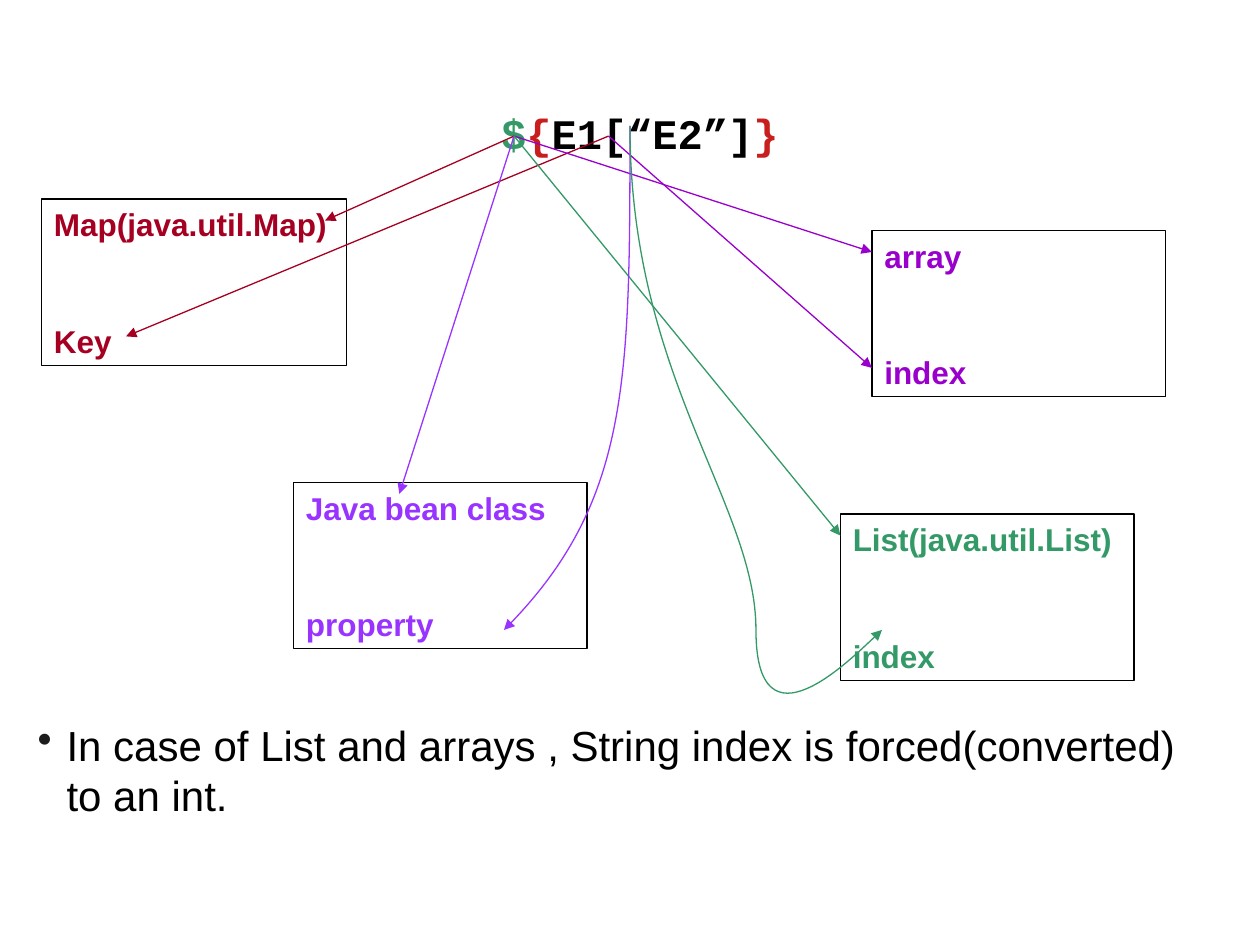
"""Build the slide that maps an EL expression to the types it can address."""
from dataclasses import dataclass

from lxml import etree
from pptx import Presentation
from pptx.dml.color import RGBColor
from pptx.enum.shapes import MSO_CONNECTOR, MSO_SHAPE
from pptx.enum.text import MSO_ANCHOR, PP_ALIGN
from pptx.oxml.ns import qn
from pptx.util import Inches, Pt

STRAIGHT = MSO_CONNECTOR.STRAIGHT
RECTANGLE = MSO_SHAPE.RECTANGLE
LEFT = PP_ALIGN.LEFT
TOP = MSO_ANCHOR.TOP


@dataclass(frozen=True)
class Theme:
    """Colours, fonts and sizes."""
    black: str = "000000"
    bullet: str = "1C1C1C"
    brace: str = "C81E1E"
    map: str = "A50021"
    bean: str = "9933FF"
    list: str = "339966"
    array: str = "9900CC"
    body_font: str = "Arial"
    code_font: str = "Courier New"
    large: int = 24
    label: int = 18
    label_gap: int = 45
    line: float = 0.75


THEME = Theme()
OBJECT = (4.08, 1.08)
KEY = (4.83, 1.08)


def add_run(paragraph, text, color, size, font, bold=True):
    """Append a formatted run to a paragraph."""
    run = paragraph.add_run()
    run.text = text
    formats = {"name": font, "size": Pt(size), "bold": bold}
    for name, value in formats.items():
        setattr(run.font, name, value)
    run.font.color.rgb = RGBColor.from_string(color)


def set_line(shape, color):
    """Give a shape or connector a thin solid line."""
    shape.line.color.rgb = RGBColor.from_string(color)
    shape.line.width = Pt(THEME.line)


def finish_arrow(arrow, color):
    """Colour an arrow, add its head and remove its shadow."""
    set_line(arrow, color)
    properties = arrow.element.spPr
    etree.SubElement(properties.find(qn("a:ln")), qn("a:tailEnd"), type="triangle")
    etree.SubElement(properties, qn("a:effectLst"))


def add_arrow(slide, start, end, color):
    """Draw a straight arrow."""
    ends = [Inches(value) for value in (*start, *end)]
    finish_arrow(slide.shapes.add_connector(STRAIGHT, *ends), color)


def add_curved_arrow(slide, start, controls, color):
    """Draw an arrow along cubic curves, three control points to each."""
    builder = slide.shapes.build_freeform(*start, scale=Inches(1))
    builder.add_line_segments(controls, close=False)
    arrow = builder.convert_to_shape()
    arrow.fill.background()
    steps = list(arrow.element.iter(qn("a:lnTo")))
    outline = steps[0].getparent()
    for first in range(0, len(steps), 3):
        curve = etree.SubElement(outline, qn("a:cubicBezTo"))
        for step in steps[first:first + 3]:
            curve.append(step[0])
            outline.remove(step)
    finish_arrow(arrow, color)


def add_type_box(slide, left, top, width, labels, color):
    """Draw an outlined box with a type name above its access key."""
    box = slide.shapes.add_shape(
        RECTANGLE, Inches(left), Inches(top), Inches(width), Inches(1.32))
    box.shadow.inherit = False
    box.fill.background()
    set_line(box, THEME.black)
    frame = box.text_frame
    frame.vertical_anchor = TOP
    type_name, key = frame.paragraphs[0], frame.add_paragraph()
    key.space_before = Pt(THEME.label_gap)
    for paragraph, label in zip((type_name, key), labels):
        paragraph.alignment = LEFT
        add_run(paragraph, label, color, THEME.label, THEME.body_font)


def add_text(slide, left, top, width, height):
    """Add a wrapping text box and return its first paragraph."""
    frame = slide.shapes.add_textbox(
        Inches(left), Inches(top), Inches(width), Inches(height)).text_frame
    frame.word_wrap = True
    return frame.paragraphs[0]


def add_expression(slide):
    """Write the expression with its coloured delimiters."""
    expression = add_text(slide, 3.88, 0.8, 3, 0.48)
    for text, color in (("$", THEME.list), ("{", THEME.brace),
                        ("E1[“E2”]", THEME.black), ("}", THEME.brace)):
        add_run(expression, text, color, THEME.large, THEME.code_font)


def add_bullet(slide, text):
    """Write the bulleted remark."""
    remark = add_text(slide, 0.2, 5.66, 9.58, 0.9)
    properties = remark._p.get_or_add_pPr()
    indent = Inches(0.23)
    properties.set("marL", str(indent))
    properties.set("indent", str(-indent))
    bullet_color = etree.SubElement(properties, qn("a:buClr"))
    etree.SubElement(bullet_color, qn("a:srgbClr"), val=THEME.bullet)
    etree.SubElement(properties, qn("a:buChar"), char="•")
    add_run(remark, text, THEME.black, THEME.large, THEME.body_font, bold=False)


def main():
    """Build and save the slide."""
    deck = Presentation()
    deck.slide_width, deck.slide_height = Inches(10), Inches(7.5)
    slide = deck.slides.add_slide(deck.slide_layouts[6])
    add_expression(slide)

    for box in (
        (0.33, 1.58, 2.42, ("Map(java.util.Map)", "Key"), THEME.map),
        (2.33, 3.83, 2.33, ("Java bean class", "property"), THEME.bean),
        (6.67, 4.08, 2.33, ("List(java.util.List)", "index"), THEME.list),
        (6.92, 1.83, 2.33, ("array", "index"), THEME.array),
    ):
        add_type_box(slide, *box)

    for start, end, color in (
        (OBJECT, (2.58, 1.75), THEME.map),
        (KEY, (1, 2.67), THEME.map),
        (OBJECT, (3.17, 3.92), THEME.bean),
        (OBJECT, (6.92, 2), THEME.array),
        (KEY, (6.92, 2.92), THEME.array),
        (OBJECT, (6.67, 4.25), THEME.list),
    ):
        add_arrow(slide, start, end, color)

    to_property = ((4.74, 2.54), (4.64, 4), (4.42, 4.67),
                   (4.19, 5.33), (3.64, 5.04), (3.5, 5.08))
    to_index = ((5.26, 2.6), (5.69, 4.13), (6, 4.83),
                (6.31, 5.54), (6.57, 5.31), (6.67, 5.33))
    add_curved_arrow(slide, KEY, to_property, THEME.bean)
    add_curved_arrow(slide, KEY, to_index, THEME.list)

    add_bullet(slide, "In case of List and arrays , String index is "
                      "forced(converted) to an int.")
    deck.save("out.pptx")


if __name__ == "__main__":
    main()
